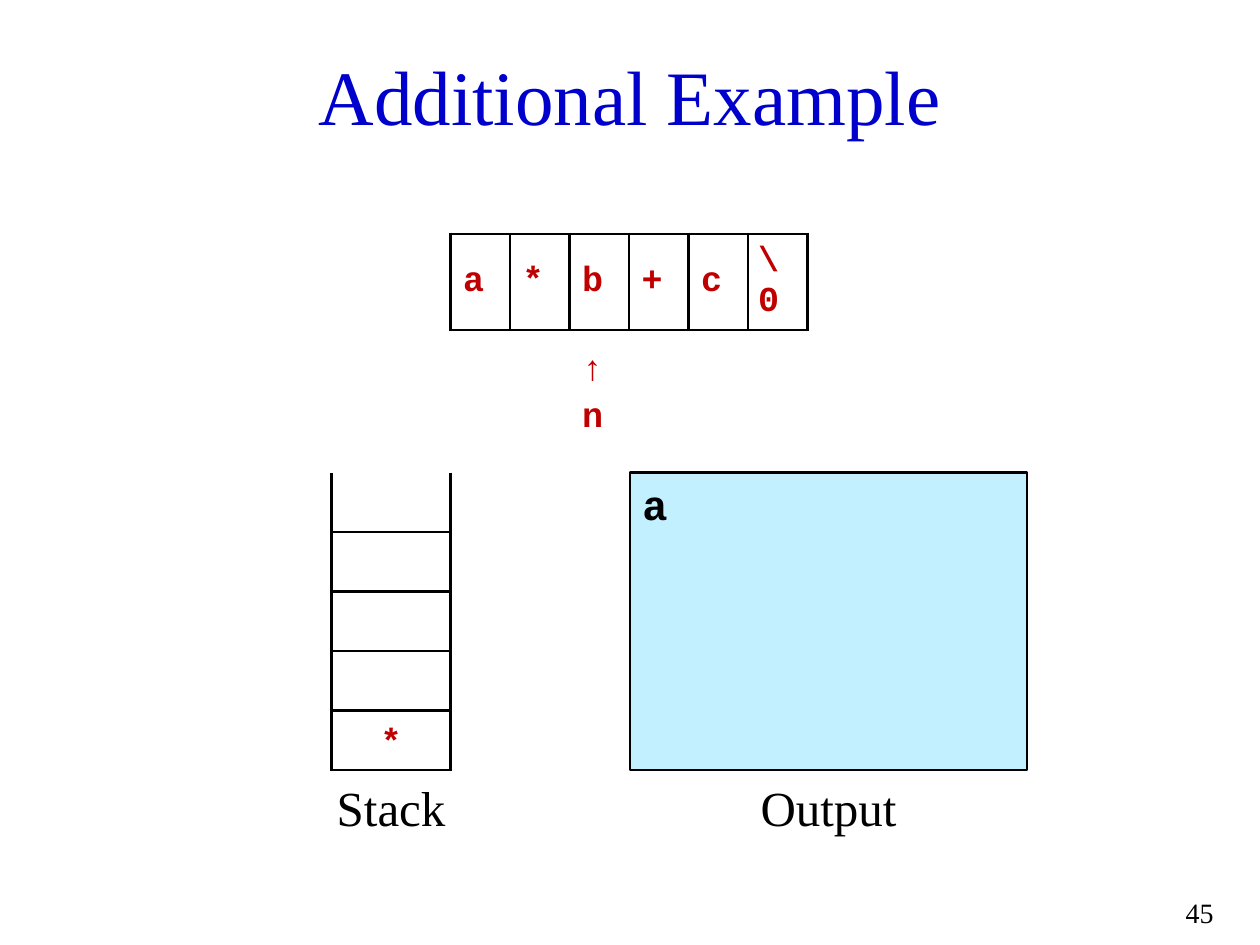
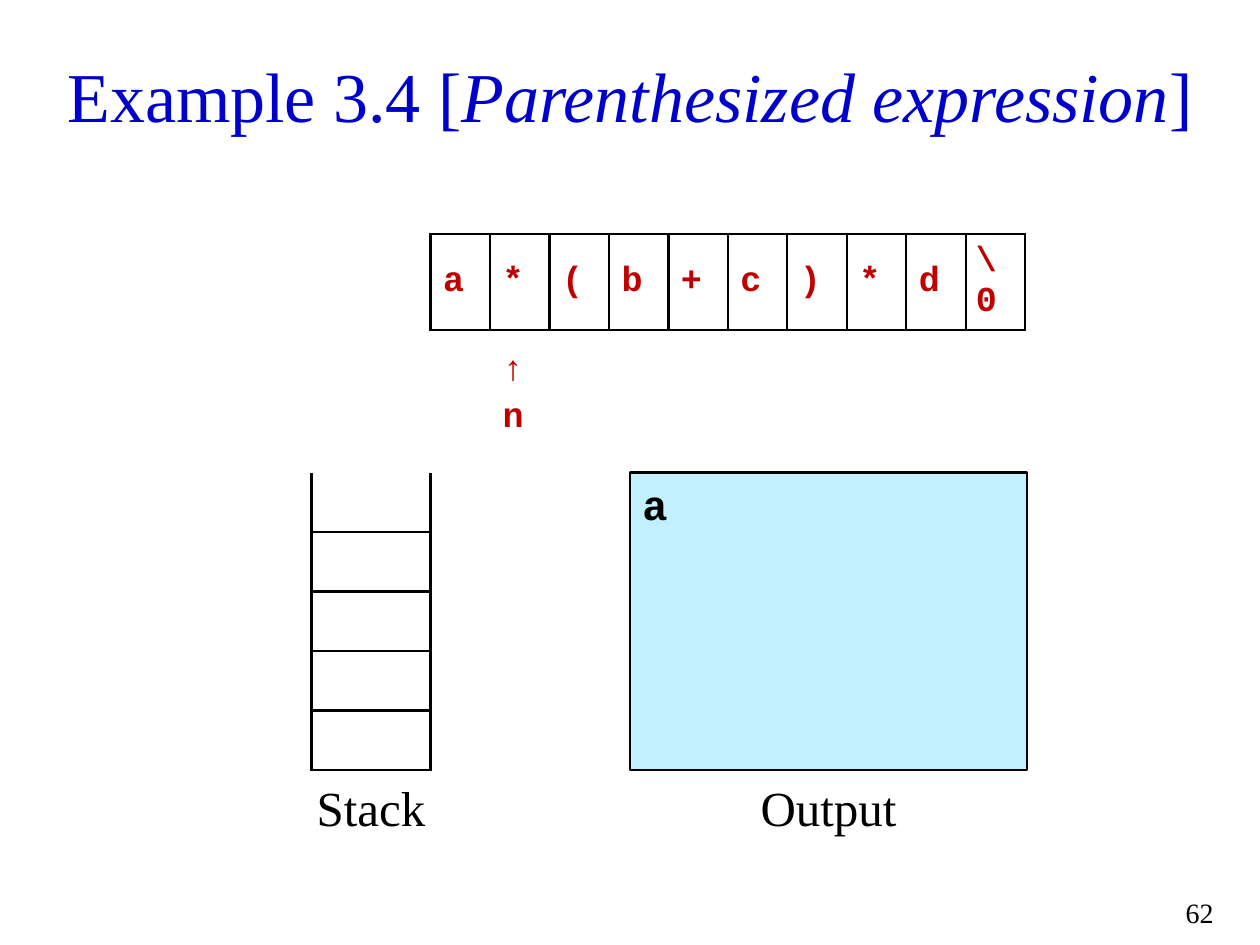
from lxml import etree
from pptx import Presentation
from pptx.dml.color import RGBColor
from pptx.enum.shapes import MSO_SHAPE
from pptx.enum.text import MSO_ANCHOR, MSO_AUTO_SIZE, PP_ALIGN
from pptx.oxml.ns import qn
from pptx.util import Pt

RECTANGLE = MSO_SHAPE.RECTANGLE
TOP, MIDDLE, BOTTOM = MSO_ANCHOR.TOP, MSO_ANCHOR.MIDDLE, MSO_ANCHOR.BOTTOM
LEFT, CENTER, RIGHT = PP_ALIGN.LEFT, PP_ALIGN.CENTER, PP_ALIGN.RIGHT
NO_AUTOFIT = MSO_AUTO_SIZE.NONE

BLACK = RGBColor(0x00, 0x00, 0x00)
TITLE_BLUE = RGBColor(0x00, 0x00, 0xCC)
TOKEN_RED = RGBColor(0xC0, 0x00, 0x00)
OUTPUT_BLUE = RGBColor(0xC2, 0xF0, 0xFF)
SERIF = "Times New Roman"
MONO = "Courier New"

SLIDE_WIDTH, SLIDE_HEIGHT = 720, 540
CELL = 34
LINE_WIDTH = 1.5
STACK_ROWS = 5
STACK_WIDTH = 2 * CELL
INPUT_TOP = 133.5
DIAGRAM_TOP = 270
DIAGRAM_HEIGHT = STACK_ROWS * CELL
OUTPUT_LEFT, OUTPUT_WIDTH = 360, 227
LABEL_TOP, LABEL_HEIGHT = 440.6, 45


def style_paragraph(paragraph, size, color, name=SERIF, bold=False, align=LEFT):
    paragraph.alignment = align
    font = paragraph.font
    font.size, font.name, font.bold = Pt(size), name, bold
    font.color.rgb = color


def add_title(slide, runs, width, size):
    """Fill the title with (text, italic) runs, centred on the slide."""
    title = slide.shapes.title
    title.left, title.top = Pt((SLIDE_WIDTH - width) / 2), Pt(20)
    title.width, title.height = Pt(width), Pt(68)
    frame = title.text_frame
    frame.auto_size = NO_AUTOFIT
    frame.vertical_anchor = MIDDLE
    paragraph = frame.paragraphs[0]
    style_paragraph(paragraph, size, TITLE_BLUE, align=CENTER)
    for text, italic in runs:
        run = paragraph.add_run()
        run.text = text
        run.font.italic = italic


def add_text(slide, text, left, top, width, height, size, align):
    box = slide.shapes.add_textbox(Pt(left), Pt(top), Pt(width), Pt(height))
    box.text_frame.word_wrap = True
    paragraph = box.text_frame.paragraphs[0]
    paragraph.text = text
    style_paragraph(paragraph, size, BLACK, align=align)


def add_label(slide, text, center, width):
    add_text(slide, text, center - width / 2, LABEL_TOP, width, LABEL_HEIGHT, 28, CENTER)


def set_borders(cell, sides):
    """Draw the sides named by letters from "LRTB" and clear the others."""
    properties = cell._tc.get_or_add_tcPr()
    for side in "LRTB":
        line = etree.SubElement(properties, qn(f"a:ln{side}"), w=str(Pt(LINE_WIDTH)))
        if side in sides:
            fill = etree.SubElement(line, qn("a:solidFill"))
            etree.SubElement(fill, qn("a:srgbClr"), val=str(BLACK))
        else:
            etree.SubElement(line, qn("a:noFill"))


def add_grid(slide, rows, columns, left, top, column_width, borders_of_row):
    """Add an unfilled table and return it."""
    frame = slide.shapes.add_table(
        rows, columns, Pt(left), Pt(top), Pt(columns * column_width), Pt(rows * CELL))
    table = frame.table
    table.first_row = table.horz_banding = False
    for column in table.columns:
        column.width = Pt(column_width)
    for row, sides in zip(table.rows, borders_of_row):
        row.height = Pt(CELL)
        for cell in row.cells:
            set_borders(cell, sides)
            cell.fill.background()
    return table


def set_token(cell, text, anchor=MIDDLE, align=LEFT):
    cell.vertical_anchor = anchor
    paragraph = cell.text_frame.paragraphs[0]
    paragraph.text = text
    style_paragraph(paragraph, 20, TOKEN_RED, MONO, True, align)


def add_input(slide, tokens, position, left):
    """Add the input characters with the pointer n under one of them."""
    table = add_grid(slide, 3, len(tokens), left, INPUT_TOP, CELL, ("LRTB", "T", ""))
    for column, token in enumerate(tokens):
        set_token(table.cell(0, column), token)
    terminator = table.cell(0, len(tokens) - 1)
    terminator.margin_left = terminator.margin_right = Pt(5.8)
    arrow = table.cell(1, position)
    set_token(arrow, "↑")
    arrow.margin_top, arrow.margin_bottom = Pt(11.5), Pt(0)
    set_token(table.cell(2, position), "n", TOP)


def add_stack(slide, items, left):
    """Add the open-topped stack, with items listed from the bottom up."""
    borders = ["LRB"] + ["LRTB"] * (STACK_ROWS - 1)
    table = add_grid(slide, STACK_ROWS, 1, left, DIAGRAM_TOP, STACK_WIDTH, borders)
    for level, item in enumerate(items, start=1):
        set_token(table.cell(STACK_ROWS - level, 0), item, BOTTOM, CENTER)
    add_label(slide, "Stack", left + STACK_WIDTH / 2, 91)


def add_output(slide, text):
    box = slide.shapes.add_shape(
        RECTANGLE, Pt(OUTPUT_LEFT), Pt(DIAGRAM_TOP), Pt(OUTPUT_WIDTH), Pt(DIAGRAM_HEIGHT))
    box.shadow.inherit = False
    box.fill.solid()
    box.fill.fore_color.rgb = OUTPUT_BLUE
    box.line.color.rgb = BLACK
    box.line.width = Pt(LINE_WIDTH)
    box.text_frame.vertical_anchor = TOP
    paragraph = box.text_frame.paragraphs[0]
    paragraph.text = text
    style_paragraph(paragraph, 24, BLACK, MONO, True)
    add_label(slide, "Output", OUTPUT_LEFT + OUTPUT_WIDTH / 2, 113)


def add_step(presentation, title, title_width, title_size, number,
             tokens, position, stack, stack_left, output):
    """Add a slide showing one step of the conversion."""
    slide = presentation.slides.add_slide(presentation.slide_layouts[5])
    add_title(slide, title, title_width, title_size)
    add_text(slide, number, 655, 508, 45.5, 23, 16, RIGHT)
    add_input(slide, tokens, position, stack_left + STACK_WIDTH)
    add_stack(slide, stack, stack_left)
    add_output(slide, output)


def main():
    presentation = Presentation()
    presentation.slide_width = Pt(SLIDE_WIDTH)
    presentation.slide_height = Pt(SLIDE_HEIGHT)
    add_step(presentation, [("Additional Example", False)], 657, 44, "45",
             [*"a*b+c", "\\0"], 2, ["*"], 189.5, "a")
    add_step(presentation,
             [("Example 3.4 [", False), ("Parenthesized expression", True), ("]", False)],
             680, 40, "62", [*"a*(b+c)*d", "\\0"], 1, [], 178, "a")
    presentation.save("out.pptx")


if __name__ == "__main__":
    main()
